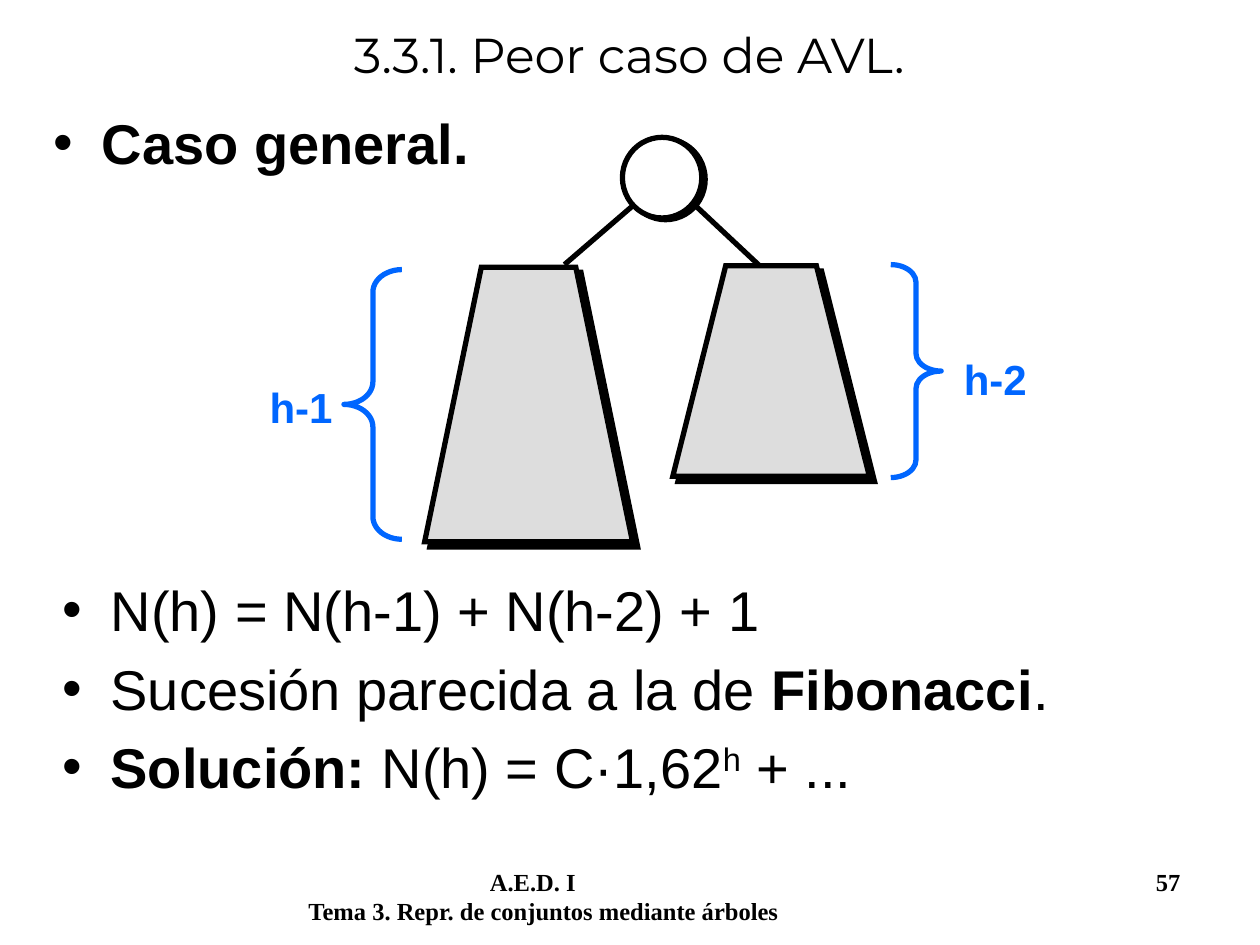
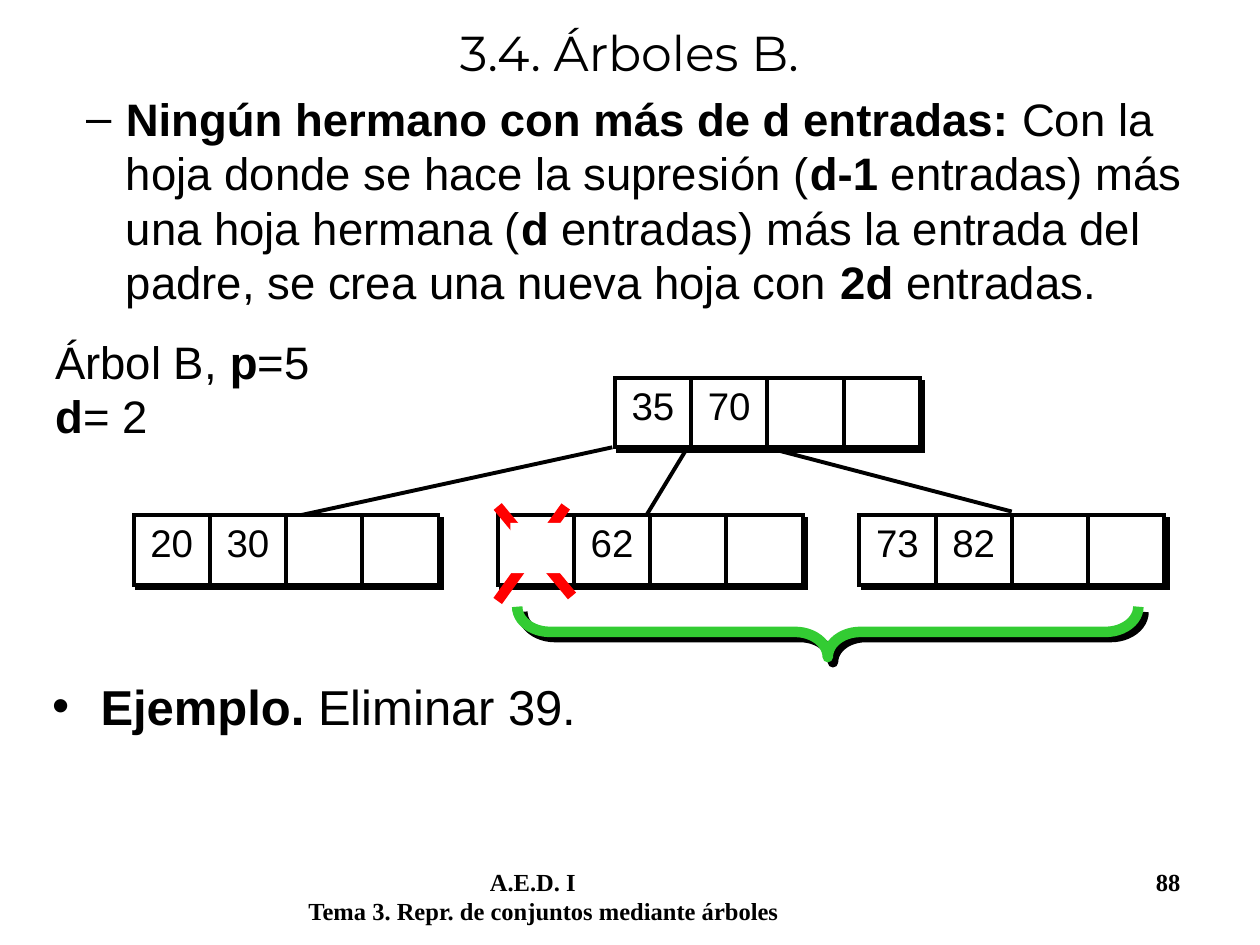
from lxml.etree import SubElement
from pptx import Presentation
from pptx.dml.color import RGBColor
from pptx.enum.shapes import MSO_CONNECTOR, MSO_SHAPE
from pptx.enum.text import MSO_ANCHOR, MSO_AUTO_SIZE, PP_ALIGN
from pptx.oxml.ns import qn
from pptx.util import Inches, Pt

BLACK, WHITE, GREY = "000000", "FFFFFF", "DDDDDD"
BLUE, RED, GREEN = "0066FF", "FF0000", "33CC33"
BODY_FONT, TITLE_FONT, FOOTER_FONT = "Arial", "Montserrat", "Times New Roman"
TITLE_ONLY = 5

CELLS_PER_NODE = 4
NODE_WIDTH, NODE_HEIGHT = 2.42, 0.55
ROOT_TOP, LEAF_TOP = 3, 4.09


def color(hex_value):
    return RGBColor.from_string(hex_value)


def bold(text):
    return text, "bold"


def superscript(text):
    return text, "superscript"


class Deck:
    def __init__(self):
        self.presentation = Presentation()
        self.presentation.slide_width = Inches(10)
        self.presentation.slide_height = Inches(7.5)
        self.slide = None

    def start_slide(self, title, number, title_height):
        layout = self.presentation.slide_layouts[TITLE_ONLY]
        self.slide = self.presentation.slides.add_slide(layout)
        self.footer(number)
        shape = self.slide.shapes.title
        shape.left, shape.top = Inches(0.33), Inches(0)
        shape.width, shape.height = Inches(9.33), Inches(title_height)
        frame = shape.text_frame
        frame.auto_size = MSO_AUTO_SIZE.NONE
        frame.vertical_anchor = MSO_ANCHOR.MIDDLE
        paragraph = frame.paragraphs[0]
        paragraph.alignment = PP_ALIGN.CENTER
        self.runs(paragraph, [title], 28, font=TITLE_FONT)

    def footer(self, number):
        frame = self.text_box(2.35, 6.83, 7.4, 0.5)
        course = frame.paragraphs[0]
        tabs = SubElement(course._p.get_or_add_pPr(), qn("a:tabLst"))
        for position, alignment in ((1.44, "l"), (6.92, "r")):
            SubElement(tabs, qn("a:tab"), pos=str(Inches(position)), algn=alignment)
        self.runs(course, [bold(f"\tA.E.D. I\t{number}")], 14, font=FOOTER_FONT)
        topic = [bold("Tema 3. Repr. de conjuntos mediante árboles")]
        self.runs(frame.add_paragraph(), topic, 14, font=FOOTER_FONT)

    def runs(self, paragraph, pieces, size, hex_color=BLACK, font=BODY_FONT):
        """Add plain strings, styled (text, style) pairs and line breaks."""
        for piece in pieces:
            if piece == "\n":
                paragraph.add_line_break()
                continue
            text, style = (piece, "") if isinstance(piece, str) else piece
            run = paragraph.add_run()
            run.text = text
            run.font.name = font
            run.font.size = Pt(size)
            run.font.bold = style == "bold"
            run.font.color.rgb = color(hex_color)
            if style == "superscript":
                run.font._element.set("baseline", "30000")

    def text_box(self, left, top, width, height):
        shape = self.slide.shapes.add_textbox(
            Inches(left), Inches(top), Inches(width), Inches(height))
        shape.text_frame.word_wrap = True
        return shape.text_frame

    def text(self, box, pieces, size, hex_color=BLACK, alignment=PP_ALIGN.LEFT):
        paragraph = self.text_box(*box).paragraphs[0]
        paragraph.alignment = alignment
        self.runs(paragraph, pieces, size, hex_color)

    def bullets(self, box, items, size, mark="•", indent=0.38, hanging=0.38):
        frame = self.text_box(*box)
        for index, pieces in enumerate(items):
            paragraph = frame.add_paragraph() if index else frame.paragraphs[0]
            if index:
                paragraph.space_before = Pt(0.2 * size)
            properties = paragraph._p.get_or_add_pPr()
            properties.set("marL", str(Inches(indent)))
            properties.set("indent", str(-Inches(hanging)))
            SubElement(properties, qn("a:buFont"), typeface=BODY_FONT)
            SubElement(properties, qn("a:buChar"), char=mark)
            self.runs(paragraph, pieces, size)

    def line(self, start, end, weight, hex_color=BLACK):
        connector = self.slide.shapes.add_connector(
            MSO_CONNECTOR.STRAIGHT, *(Inches(value) for value in (*start, *end)))
        connector.line.width = Pt(weight)
        connector.line.color.rgb = color(hex_color)
        SubElement(connector._element.spPr, qn("a:effectLst"))

    def paint(self, shape, fill=None, outline=None, weight=3, shadow=None):
        """Set fill and outline; shadow is a (distance, angle) pair."""
        if fill:
            shape.fill.solid()
            shape.fill.fore_color.rgb = color(fill)
        else:
            shape.fill.background()
        if outline:
            shape.line.width = Pt(weight)
            shape.line.color.rgb = color(outline)
            if fill:
                SubElement(shape.line._get_or_add_ln(), qn("a:miter"), lim="800000")
        else:
            shape.line.fill.background()
        shape.shadow.inherit = False
        if shadow:
            distance, angle = shadow
            effects = shape._element.spPr.find(qn("a:effectLst"))
            outer = SubElement(effects, qn("a:outerShdw"), dist=str(Pt(distance)),
                               dir=str(angle * 60000), algn="ctr", rotWithShape="0")
            SubElement(outer, qn("a:srgbClr"), val=BLACK)

    def shape(self, kind, left, top, width, height, **style):
        shape = self.slide.shapes.add_shape(
            kind, Inches(left), Inches(top), Inches(width), Inches(height))
        self.paint(shape, **style)
        return shape

    def brace(self, kind, box, curl, rotation=0, **style):
        shape = self.shape(kind, *box, **style)
        shape.adjustments[0] = curl
        shape.adjustments[1] = 0.5
        shape.rotation = rotation

    def subtree(self, left, top, width, height, inset):
        """Draw a trapezoid whose top edge is inset on both sides."""
        right, bottom = left + width, top + height
        corners = [(right - inset, top), (left + inset, top), (left, bottom)]
        builder = self.slide.shapes.build_freeform(
            Inches(right), Inches(bottom), scale=1.0)
        builder.add_line_segments(
            [(Inches(x), Inches(y)) for x, y in corners], close=True)
        self.paint(builder.convert_to_shape(), GREY, BLACK, shadow=(4.2, 45))

    def node(self, left, top, keys):
        """Draw a B-tree node: a row of cells, each holding a key or empty."""
        step = NODE_WIDTH / CELLS_PER_NODE
        for index in range(CELLS_PER_NODE):
            cell = self.shape(MSO_SHAPE.RECTANGLE, left + index * step, top, step,
                              NODE_HEIGHT, fill=WHITE, outline=BLACK, weight=2.25,
                              shadow=(2.8, 45))
            if index < len(keys) and keys[index]:
                frame = cell.text_frame
                frame.margin_left = frame.margin_right = 0
                frame.margin_top, frame.margin_bottom = Inches(0.03), Inches(0.02)
                frame.vertical_anchor = MSO_ANCHOR.TOP
                frame.paragraphs[0].alignment = PP_ALIGN.CENTER
                self.runs(frame.paragraphs[0], [keys[index]], 22)


def add_worst_case_slide(deck):
    deck.start_slide("3.3.1. Peor caso de AVL.", 57, title_height=0.86)
    deck.bullets((0.33, 0.81, 8.79, 0.92), [[bold("Caso general.")]], 32)

    deck.line((5.27, 1.42), (4.48, 2.1), 3)
    deck.line((5.25, 1.38), (6.04, 2.12), 3)
    deck.shape(MSO_SHAPE.OVAL, 4.94, 1.09, 0.63, 0.64,
               fill=WHITE, outline=BLACK, shadow=(2.2, 27))
    deck.subtree(3.37, 2.12, 1.65, 2.18, inset=0.45)
    deck.subtree(5.34, 2.11, 1.56, 1.67, inset=0.42)

    for label, left, top in (("h-1", 1.76, 2.98), ("h-2", 7.27, 2.76)):
        deck.text((left, top, 1.26, 0.5), [bold(label)], 24, BLUE, PP_ALIGN.CENTER)
    deck.brace(MSO_SHAPE.LEFT_BRACE, (2.73, 2.14, 0.46, 2.14), 0.39, outline=BLUE)
    deck.brace(MSO_SHAPE.RIGHT_BRACE, (7.07, 2.1, 0.4, 1.69), 0.35, outline=BLUE)

    deck.bullets((0.4, 4.52, 9.01, 2.1), [
        ["N(h) = N(h-1) + N(h-2) + 1"],
        ["Sucesión parecida a la de ", bold("Fibonacci"), "."],
        [bold("Solución:"), " N(h) = C·1,62", superscript("h"), " + ..."],
    ], 32)


def add_b_tree_slide(deck):
    deck.start_slide("3.4. Árboles B.", 88, title_height=0.82)
    deck.bullets((0, 0.67, 9.71, 2.2), [[
        bold("Ningún hermano con más de d entradas:"),
        " Con la hoja donde se hace la supresión (", bold("d-1"),
        " entradas) más una hoja hermana (", bold("d"),
        " entradas) más la entrada del padre, se crea una nueva hoja con ",
        bold("2d "), "entradas.",
    ]], 26, mark="–", indent=0.9, hanging=0.31)

    for start, end in (((4.86, 3.55), (2.06, 4.16)),
                       ((5.47, 3.53), (5.13, 4.09)),
                       ((6.08, 3.55), (8.03, 4.06))):
        deck.line(start, end, 2.25)
    deck.node(4.88, ROOT_TOP, ["35", "70"])
    for left, keys in ((1.06, ["20", "30"]), (3.95, ["", "62"]), (6.82, ["73", "82"])):
        deck.node(left, LEAF_TOP, keys)

    deck.text((0.34, 2.6, 2.54, 0.97),
              ["Árbol B, ", bold("p"), "=5", "\n", bold("d"), "= 2"], 26)
    deck.bullets((0.32, 5.32, 9.1, 0.7), [[bold("Ejemplo."), " Eliminar 39."]], 28)

    deck.line((3.95, 4.02), (4.54, 4.73), 6, RED)
    deck.line((4.49, 4.02), (3.95, 4.77), 6, RED)
    deck.shape(MSO_SHAPE.RECTANGLE, 4.05, 4.15, 0.43, 0.4, fill=WHITE)
    deck.brace(MSO_SHAPE.LEFT_BRACE, (6.37, 2.55, 0.4, 4.93), 0.65, rotation=270,
               outline=GREEN, weight=6, shadow=(4.2, 45))


def main():
    deck = Deck()
    add_worst_case_slide(deck)
    add_b_tree_slide(deck)
    deck.presentation.save("out.pptx")


if __name__ == "__main__":
    main()
